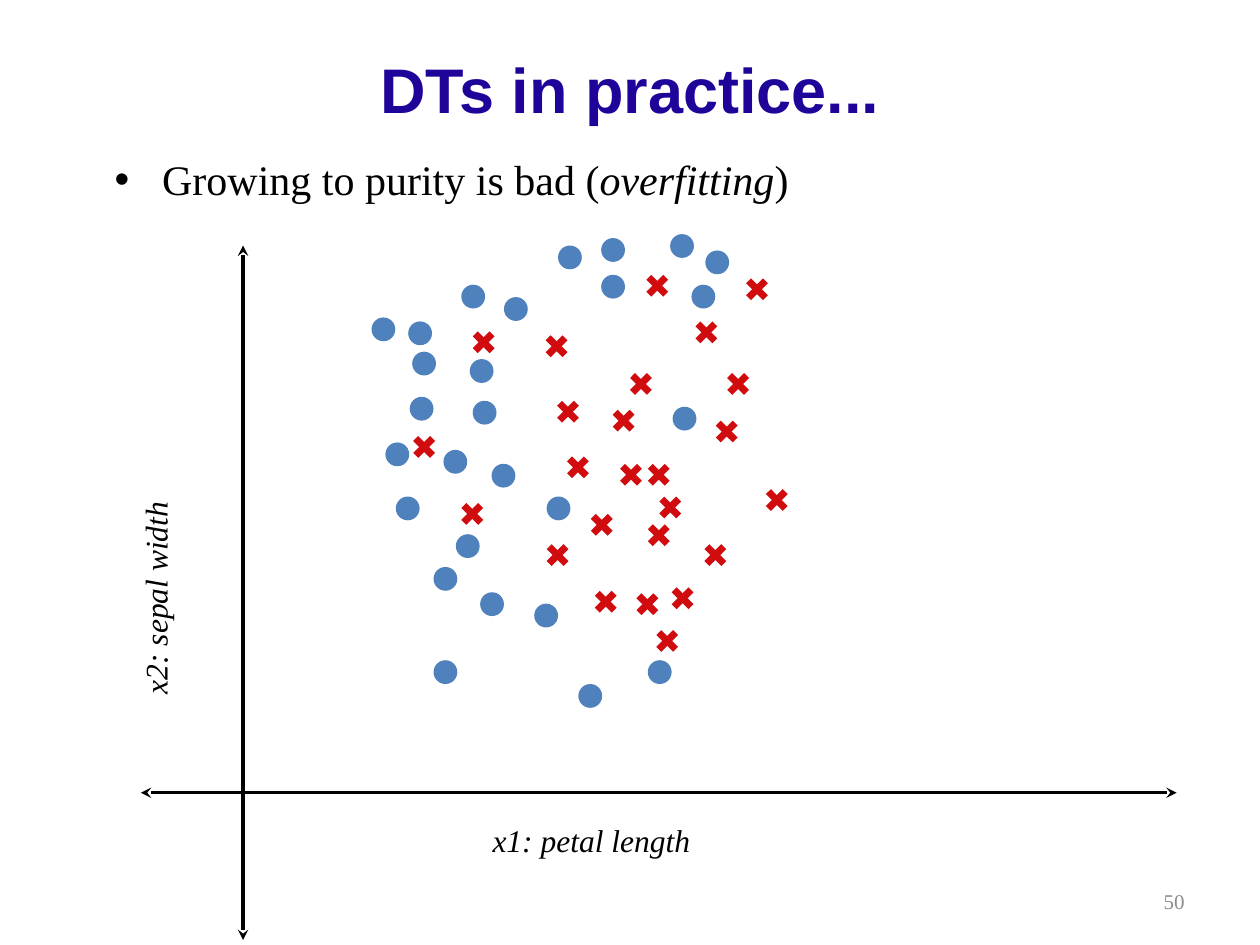
from lxml.etree import SubElement
from pptx import Presentation
from pptx.dml.color import RGBColor
from pptx.enum.shapes import MSO_CONNECTOR, MSO_SHAPE
from pptx.enum.text import MSO_ANCHOR, PP_ALIGN
from pptx.oxml.ns import qn
from pptx.util import Cm, Pt

COLORS = {"title": "200399", "text": "000000", "dot": "4F81BD",
          "cross": "D10C0F", "number": "8C8C8C"}
SERIF, SANS = "Times New Roman", "Arial"
INSETS = (0.25, 0.13)  # horizontal, vertical
DOT, CROSS = 0.48, 0.34  # marker sizes

# Top-left corners of the markers
DOTS = [
    (11.66, 13.79), (13.06, 13.31), (9.68, 11.94), (9.19, 10.77), (8.74, 13.31),
    (10.77, 12.17), (7.98, 10.01), (8.94, 9.07), (9.91, 9.35), (8.26, 8.0),
    (9.47, 7.24), (10.16, 5.99), (8.23, 6.48), (11.25, 4.95), (12.12, 5.54),
    (13.51, 4.72), (11.02, 10.01), (8.31, 7.09), (9.53, 8.08), (9.3, 5.74),
    (8.74, 11.43), (7.77, 8.92), (7.49, 6.4), (14.22, 5.05), (12.12, 4.8),
    (13.94, 5.74), (13.56, 8.2),
]
CROSSES = [
    (11.48, 9.25), (11.96, 10.41), (13.11, 10.62), (11.07, 11.02), (11.28, 8.13),
    (12.75, 7.57), (12.04, 11.96), (13.11, 9.4), (13.59, 11.89), (14.07, 6.53),
    (14.25, 11.02), (14.48, 8.53), (15.49, 9.91), (9.58, 6.73), (8.38, 8.84),
    (9.35, 10.19), (12.55, 9.4), (12.4, 8.31), (13.34, 10.06), (12.88, 12.01),
    (13.08, 5.59), (11.05, 6.81), (14.71, 7.57), (13.28, 12.75), (15.09, 5.66),
]


class SlideBuilder:
    def __init__(self, slide):
        self.slide = slide

    def color(self, name):
        return RGBColor.from_string(COLORS[name])

    def text(self, box, text, size, color="text", font=SERIF, bold=False,
             italic=False, align=PP_ALIGN.LEFT, anchor=MSO_ANCHOR.TOP,
             insets=INSETS, wrap=True):
        sp = self.slide.shapes.add_textbox(*map(Cm, box))
        tf = sp.text_frame
        tf.word_wrap = wrap
        tf.vertical_anchor = anchor
        tf.margin_left = tf.margin_right = Cm(insets[0])
        tf.margin_top = tf.margin_bottom = Cm(insets[1])
        tf.text = text
        p = tf.paragraphs[0]
        p.alignment = align
        self.format(p.runs[0], size, color, font, bold, italic)
        return sp

    def format(self, r, size, color="text", font=SERIF, bold=False, italic=False):
        r.font.size, r.font.name = Pt(size), font
        r.font.bold, r.font.italic = bold, italic
        r.font.color.rgb = self.color(color)

    def bullet(self, box, parts, size):
        """Bulleted line made of (text, italic) parts."""
        sp = self.text(box, parts[0][0], size, italic=parts[0][1])
        p = sp.text_frame.paragraphs[0]
        for text, italic in parts[1:]:
            r = p.add_run()
            r.text = text
            self.format(r, size, italic=italic)
        pPr = p._p.get_or_add_pPr()
        pPr.set("marL", str(Cm(1.75)))
        pPr.set("indent", str(Cm(-0.96)))
        SubElement(pPr, qn("a:buFont"), typeface=SANS)
        SubElement(pPr, qn("a:buChar"), char="•")

    def line(self, start, end, color, width, arrows=False):
        cx = self.slide.shapes.add_connector(
            MSO_CONNECTOR.STRAIGHT, *map(Cm, start + end))
        cx.line.color.rgb = self.color(color)
        cx.line.width = Pt(width)
        if arrows:
            ln = cx.line._get_or_add_ln()
            for tag in ("a:headEnd", "a:tailEnd"):
                SubElement(ln, qn(tag), type="stealth")
        SubElement(cx._element.spPr, qn("a:effectLst"))

    def dot(self, x, y):
        sp = self.slide.shapes.add_shape(
            MSO_SHAPE.OVAL, Cm(x), Cm(y), Cm(DOT), Cm(DOT))
        sp.shadow.inherit = False
        sp.fill.solid()
        sp.fill.fore_color.rgb = self.color("dot")
        sp.line.fill.background()

    def cross(self, x, y):
        right, bottom = x + CROSS, y + CROSS
        self.line((x, y), (right, bottom), "cross", 4)
        self.line((right, y), (x, bottom), "cross", 4)


def main():
    prs = Presentation()
    prs.slide_width, prs.slide_height = Cm(25.4), Cm(19.05)
    s = SlideBuilder(prs.slides.add_slide(prs.slide_layouts[6]))

    # Title and bullet
    s.text((1.27, 0.2, 22.86, 3.18), "DTs in practice...", 36, "title", SANS,
           bold=True, align=PP_ALIGN.CENTER, anchor=MSO_ANCHOR.MIDDLE)
    s.bullet((1.27, 2.97, 22.86, 12.57),
             [("Growing to purity is bad (", False), ("overfitting", True),
              (")", False)], 24)

    # Axes and their labels
    s.line((4.9, 4.95), (4.9, 18.95), "text", 2, arrows=True)
    s.line((23.72, 15.98), (2.84, 15.98), "text", 2, arrows=True)
    s.text((9.93, 16.56, 4.04, 0.76), "x1: petal length", 18, italic=True,
           insets=(0, 0), wrap=False)
    label = s.text((0.23, 10.03, 6.48, 1.45), "x2: sepal width", 18,
                   italic=True, insets=(0, 0))
    label.rotation = 270

    # Two classes of samples
    for x, y in DOTS:
        s.dot(x, y)
    for x, y in CROSSES:
        s.cross(x, y)

    # Slide number
    s.text((18.21, 17.65, 5.92, 1.02), "50", 12, "number",
           align=PP_ALIGN.RIGHT, anchor=MSO_ANCHOR.MIDDLE)

    prs.save("out.pptx")


if __name__ == "__main__":
    main()
